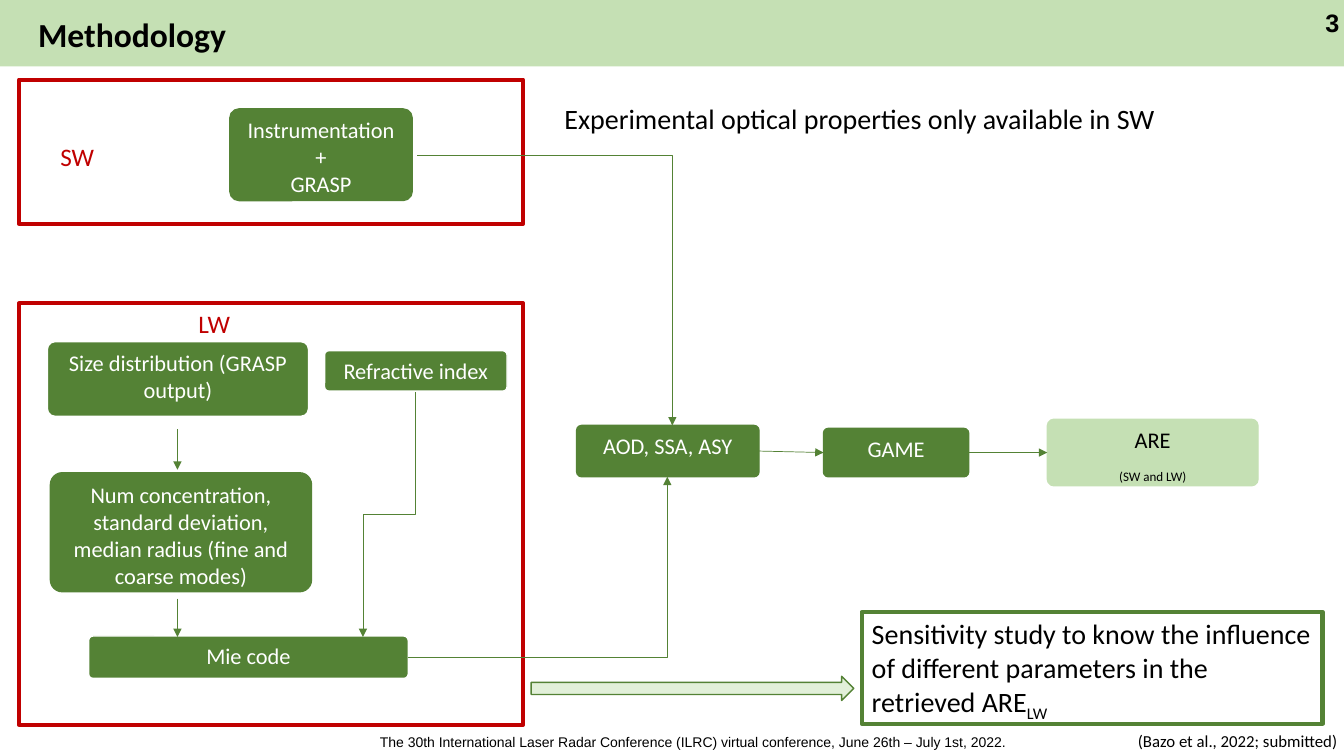
from dataclasses import dataclass
from typing import Optional

from lxml.etree import SubElement
from pptx import Presentation
from pptx.dml.color import RGBColor
from pptx.enum.shapes import MSO_CONNECTOR, MSO_SHAPE
from pptx.enum.text import MSO_ANCHOR, PP_ALIGN
from pptx.oxml.ns import qn
from pptx.util import Inches, Pt

# The grid has ten columns and ten rows to the inch
COLUMNS, ROWS = 133.33, 75
GREEN, LIGHT_GREEN, PALE_GREEN = "548235", "C5E0B4", "E2F0D9"
RED, BLACK, WHITE = "C00000", "000000", "FFFFFF"


@dataclass
class Area:
    column: float
    row: float
    columns: float
    rows: float

    def lengths(self) -> list:
        return [grid(n) for n in (self.column, self.row, self.columns, self.rows)]


@dataclass
class Block:
    area: Area
    lines: tuple = ()
    fill: Optional[str] = GREEN
    outline: Optional[str] = GREEN
    weight: float = 1
    color: str = WHITE
    kind: MSO_SHAPE = MSO_SHAPE.ROUNDED_RECTANGLE
    size: float = 16
    align: PP_ALIGN = PP_ALIGN.CENTER


@dataclass
class Label:
    area: Area
    text: str
    size: float
    color: str = BLACK
    font: str = "Calibri"
    bold: bool = False


@dataclass
class Arrow:
    start: tuple
    end: tuple
    preset: str = "line"
    turn: int = 0


def grid(cells: float) -> int:
    return Inches(cells / 10)


def rgb(color: str) -> RGBColor:
    return RGBColor.from_string(color)


def set_font(font, size: float, color: str, name: str = "Calibri", bold: bool = False) -> None:
    font.size, font.name, font.bold = Pt(size), name, bold
    font.color.rgb = rgb(color)


def draw_block(slide, block: Block):
    shape = slide.shapes.add_shape(block.kind, *block.area.lengths())
    shape.shadow.inherit = False
    if block.kind == MSO_SHAPE.ROUNDED_RECTANGLE:
        shape.adjustments[0] = 0.1
    if block.fill:
        shape.fill.solid()
        shape.fill.fore_color.rgb = rgb(block.fill)
    else:
        shape.fill.background()
    if block.outline:
        shape.line.color.rgb = rgb(block.outline)
        shape.line.width = Pt(block.weight)
    else:
        shape.line.fill.background()
    frame = shape.text_frame
    frame.word_wrap = True
    frame.vertical_anchor = MSO_ANCHOR.TOP
    for index, line in enumerate(block.lines):
        paragraph = frame.add_paragraph() if index else frame.paragraphs[0]
        paragraph.text = line
        paragraph.alignment = block.align
        set_font(paragraph.font, block.size, block.color)
    return shape


def draw_label(slide, label: Label):
    shape = slide.shapes.add_textbox(*label.area.lengths())
    frame = shape.text_frame
    frame.word_wrap = True
    frame.margin_right = 0
    paragraph = frame.paragraphs[0]
    paragraph.text = label.text
    set_font(paragraph.font, label.size, label.color, label.font, label.bold)
    return shape


def draw_arrow(slide, arrow: Arrow):
    kind = MSO_CONNECTOR.STRAIGHT if arrow.preset == "line" else MSO_CONNECTOR.ELBOW
    ends = [grid(n) for n in (*arrow.start, *arrow.end)]
    connector = slide.shapes.add_connector(kind, *ends)
    connector.line.color.rgb = rgb(GREEN)
    connector.line.width = Pt(0.5)
    properties = connector._element.spPr
    properties.find(qn("a:prstGeom")).set("prst", arrow.preset)
    if arrow.turn:
        properties.find(qn("a:xfrm")).set("rot", str(arrow.turn * 60000))
    SubElement(properties.find(qn("a:ln")), qn("a:tailEnd"), type="triangle")
    SubElement(properties, qn("a:effectLst"))
    return connector


def lower(run) -> None:
    run.font._element.set("baseline", "-25000")


BANNER = Block(Area(0, 0, COLUMNS, 6.6), fill=LIGHT_GREEN, outline=None,
               kind=MSO_SHAPE.RECTANGLE)
TITLE = Label(Area(2.8, 0.7, 115, 5.9), "Methodology", 24, bold=True)
LABELS = [
    Label(Area(130.5, 0.2, 2.8, 4), "3", 18, font="Arial", bold=True),
    Label(Area(36.7, 72.3, 77.8, 2.7),
          "The 30th International Laser Radar Conference (ILRC) virtual conference, "
          "June 26th – July 1st, 2022.", 10, font="Arial"),
    Label(Area(18.7, 30.1, 8.4, 4), "LW", 18, RED),
    Label(Area(5, 13.5, 8.4, 4), "SW", 18, RED),
    Label(Area(55, 9.6, 62.9, 4.4), "Experimental optical properties only available in SW", 20),
    Label(Area(111.9, 72, 21.4, 3), "(Bazo et al., 2022; submitted)", 12),
]
FRAMES = [Block(Area(1.9, row, 50, rows), fill=None, outline=RED, weight=3,
                kind=MSO_SHAPE.RECTANGLE) for row, rows in ((7.9, 14.3), (30.1, 41.8))]
STEPS = [
    Block(Area(22.8, 10.8, 18.1, 9.1), ("Instrumentation +", "GRASP")),
    Block(Area(4.7, 33.9, 25.9, 7.4), ("Size distribution (GRASP output)",), outline=WHITE),
    Block(Area(5, 46.9, 25.9, 11.8),
          ("Num concentration, standard deviation, median radius (fine and coarse modes)",)),
    Block(Area(8.8, 63.1, 31.7, 4.2), ("Mie code",), outline=WHITE),
    Block(Area(32.2, 34.8, 18.1, 4), ("Refractive index",), outline=WHITE),
]
CHAIN = [
    Block(Area(57.2, 42.2, 18.1, 5.1), ("AOD, SSA, ASY",)),
    Block(Area(81.7, 42.5, 14.4, 4.8), ("GAME",)),
    Block(Area(103.9, 41.6, 20.9, 6.6), ("ARE", "(SW and LW)"), LIGHT_GREEN, LIGHT_GREEN,
          color=BLACK),
]
ARROWS = [
    Arrow((17.6, 42.6), (17.6, 46.6)),
    Arrow((17.6, 59.4), (17.6, 63.2)),
    Arrow((40.5, 65.2), (66.2, 47.3), "bentConnector2"),
    Arrow((41.4, 15.4), (66.7, 42.2), "bentConnector2"),
    Arrow((26.45, 48.45), (50.75, 53.65), "bentConnector3", turn=90),
]
WIDE_ARROW = Block(Area(52.7, 67.1, 32, 2.4), fill=PALE_GREEN, kind=MSO_SHAPE.RIGHT_ARROW)
SENSITIVITY = Block(
    Area(85.5, 60.7, 45.7, 11.1),
    ("Sensitivity study to know the influence of different parameters in the retrieved ARE",),
    fill=None, weight=3, color=BLACK, kind=MSO_SHAPE.RECTANGLE, size=20, align=PP_ALIGN.LEFT)


def main() -> None:
    presentation = Presentation()
    presentation.slide_width, presentation.slide_height = grid(COLUMNS), grid(ROWS)
    slide = presentation.slides.add_slide(presentation.slide_layouts[6])

    # Header
    draw_block(slide, BANNER)
    title = draw_label(slide, TITLE).text_frame
    title.vertical_anchor = MSO_ANCHOR.MIDDLE
    title.paragraphs[0].line_spacing = 0.9

    # Short-wave and long-wave inputs
    for block in FRAMES + STEPS:
        draw_block(slide, block)

    # Chain from optical properties to the radiative effect
    chain = [draw_block(slide, block) for block in CHAIN]
    lower(chain[-1].text_frame.paragraphs[1].runs[0])
    for source, target in zip(chain, chain[1:]):
        connector = draw_arrow(slide, Arrow((0, 0), (1, 1)))
        connector.begin_connect(source, 3)
        connector.end_connect(target, 1)
    for arrow in ARROWS:
        draw_arrow(slide, arrow)

    # Sensitivity study
    draw_block(slide, WIDE_ARROW)
    study = draw_block(slide, SENSITIVITY).text_frame.paragraphs[0]
    subscript = study.add_run()
    subscript.text = "LW"
    lower(subscript)

    # Free text
    for label in LABELS:
        draw_label(slide, label)
    presentation.save("out.pptx")


if __name__ == "__main__":
    main()
